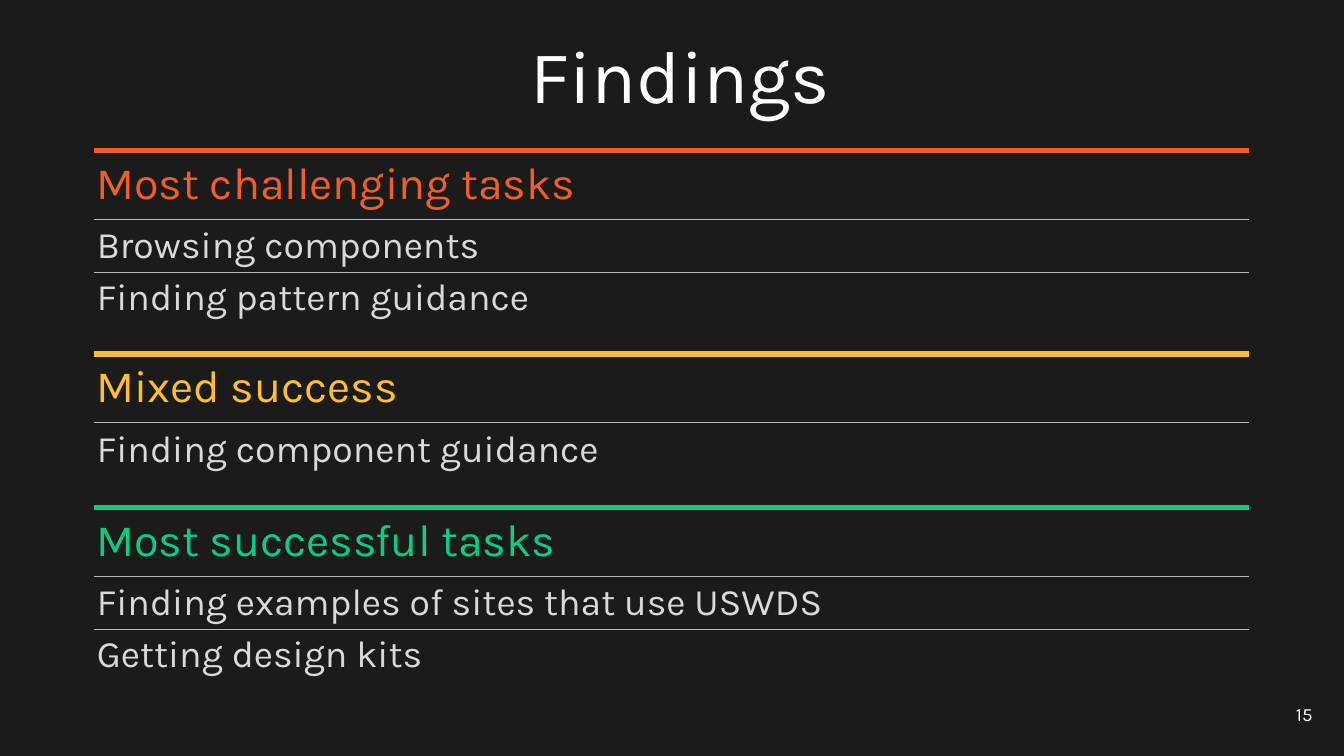
import pptx
import pptx.util
import pptx.dml.color
import pptx.enum.shapes
import pptx.enum.text
import pptx.oxml.ns
import lxml.etree

COLUMNS, ROWS = 100, 56.25
CELL = 0.1
FONT = "Karla"
COLORS = {
    "background": "1B1B1B", "title": "FFFFFF", "item": "D9D9D9", "divider": "B7B7B7",
    "challenging": "EF5E25", "mixed": "FFBE2E", "successful": "04CF85",
}
SECTIONS = [
    (11.2, "challenging", "Most challenging tasks",
     ["Browsing components", "Finding pattern guidance"]),
    (26.32, "mixed", "Mixed success", ["Finding component guidance"]),
    (37.77, "successful", "Most successful tasks",
     ["Finding examples of sites that use USWDS", "Getting design kits"]),
]


def grid(count):
    """Turn a number of grid cells into a length."""
    return pptx.util.Inches(round(count * CELL, 3))


def color(name):
    """Look up a named colour."""
    return pptx.dml.color.RGBColor.from_string(COLORS[name])


def place(shape, box):
    """Move a shape to a box of columns and rows."""
    shape.left, shape.top, shape.width, shape.height = map(grid, box)


def write(shape, lines, size, shade, align="LEFT", anchor="TOP", spacing=None):
    """Fill a shape with one paragraph per line and return its paragraphs."""
    frame = shape.text_frame
    frame.text = "\n".join(lines)
    frame.word_wrap = True
    frame.auto_size = pptx.enum.text.MSO_AUTO_SIZE.NONE
    frame.vertical_anchor = pptx.enum.text.MSO_ANCHOR[anchor]
    frame.margin_left = frame.margin_right = grid(1)
    frame.margin_top = frame.margin_bottom = grid(1)
    for para in frame.paragraphs:
        para.alignment = pptx.enum.text.PP_ALIGN[align]
        para.line_spacing = spacing
        para.space_before = para.space_after = pptx.util.Pt(0)
        para.font.name, para.font.size = FONT, pptx.util.Pt(size)
        para.font.bold = False
        para.font.color.rgb = color(shade)
    return frame.paragraphs


def add_text(page, box, *content, **layout):
    """Add a text box with formatted text."""
    shape = page.shapes.add_textbox(*map(grid, box))
    write(shape, *content, **layout)


def add_rule(page, left, top, width, shade, weight):
    """Draw a horizontal rule."""
    rule = page.shapes.add_connector(
        pptx.enum.shapes.MSO_CONNECTOR.STRAIGHT,
        grid(left), grid(top), grid(left + width), grid(top))
    rule.line.color.rgb = color(shade)
    rule.line.width = pptx.util.Pt(weight)
    lxml.etree.SubElement(rule._element.spPr, pptx.oxml.ns.qn("a:effectLst"))


def add_list(holder, box, items):
    """Set a body placeholder as an indented list without markers."""
    place(holder, box)
    for index, para in enumerate(write(holder, items, 20, "item", spacing=0.95)):
        para.space_before = pptx.util.Pt(5 if index else 0)
        properties = para._p.get_or_add_pPr()
        properties.set("marL", str(grid(5)))
        properties.set("indent", "0")
        lxml.etree.SubElement(properties, pptx.oxml.ns.qn("a:buNone"))
        properties.append(properties.find(pptx.oxml.ns.qn("a:defRPr")))


def add_section(page, holder, box, shade, heading, items):
    """Build a coloured heading with its ruled list below."""
    left, top, width = box
    add_text(page, (left - 0.8, top - 0.4, width + 1.5, 7.2),
             [heading], 24, shade, spacing=0.95)
    add_list(holder, (left - 5.8, top + 4.53, width + 6.1, 7.2), items)
    add_rule(page, left, top, width, shade, 3)
    for index in range(len(items)):
        add_rule(page, left, top + 5.13 + 3.93 * index, width, "divider", 0.75)


def build_findings(deck):
    """Build the findings slide."""
    page = deck.slides.add_slide(deck.slide_layouts.get_by_name("Comparison"))
    page.background.fill.solid()
    page.background.fill.fore_color.rgb = color("background")
    place(page.shapes.title, (5.8, 1.14, 89.6, 6.3))
    write(page.shapes.title, ["Findings"], 40, "title", align="CENTER")
    bodies = list(page.placeholders)[1:]
    for holder, (top, *content) in zip(bodies, SECTIONS):
        add_section(page, holder, (7, top, 85.9), *content)
    for spare in bodies[len(SECTIONS):]:
        spare._element.getparent().remove(spare._element)
    add_text(page, (92.65, 51, 6, 4.3), ["15"], 10, "title",
             align="RIGHT", anchor="MIDDLE")


def main():
    """Create and save the deck."""
    deck = pptx.Presentation()
    deck.slide_width, deck.slide_height = grid(COLUMNS), grid(ROWS)
    build_findings(deck)
    deck.save("out.pptx")


if __name__ == "__main__":
    main()
